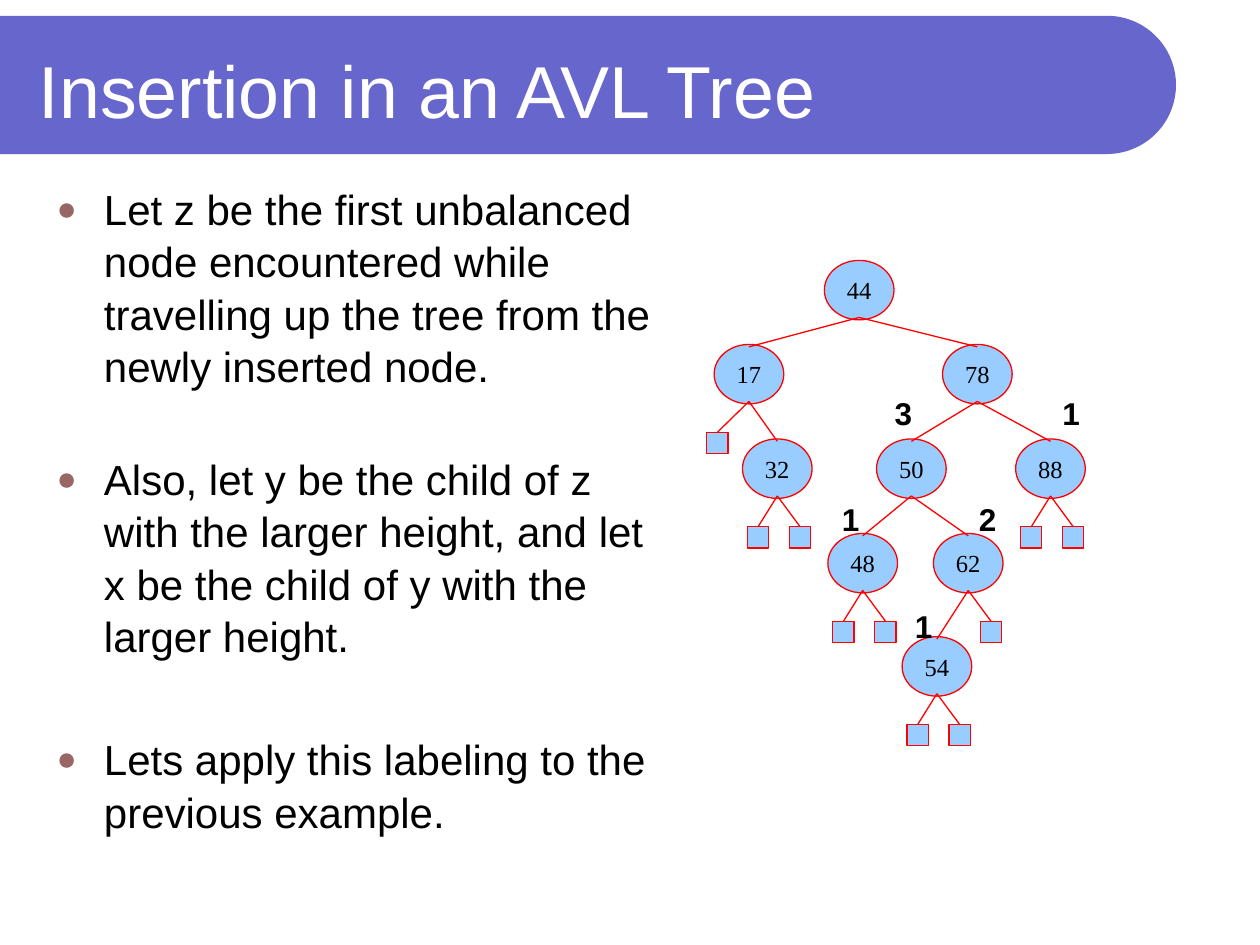
import math
from dataclasses import dataclass

from lxml import etree
from pptx import Presentation
from pptx.dml.color import RGBColor
from pptx.enum.shapes import MSO_CONNECTOR, MSO_SHAPE
from pptx.enum.text import MSO_ANCHOR, MSO_AUTO_SIZE, PP_ALIGN
from pptx.oxml.ns import qn
from pptx.util import Pt

OVAL, SQUARE, STRAIGHT = MSO_SHAPE.OVAL, MSO_SHAPE.RECTANGLE, MSO_CONNECTOR.STRAIGHT
TOP, MIDDLE = MSO_ANCHOR.TOP, MSO_ANCHOR.MIDDLE
LEFT, CENTER = PP_ALIGN.LEFT, PP_ALIGN.CENTER
NO_FIT = MSO_AUTO_SIZE.NONE


@dataclass(frozen=True)
class Theme:
    banner: str = "6666CC"
    bullet: str = "996666"
    node: str = "99CCFF"
    edge: str = "FF0000"
    ink: str = "000000"
    paper: str = "FFFFFF"
    sans: str = "Arial"
    serif: str = "Times New Roman"
    title_size: float = 42
    body_size: float = 24
    label_size: float = 18
    key_size: float = 14
    edge_width: float = 0.75


THEME = Theme()

TITLE = "Insertion in an AVL Tree"
POINTS = (
    ("Let z be the first unbalanced node encountered while travelling up "
     "the tree from the newly inserted node.", 0),
    ("Also, let y be the child of z with the larger height, and let x be "
     "the child of y with the larger height.", 34.7),
    ("Lets apply this labeling to the previous example.", 40.5),
)

NODE_WIDTH, NODE_HEIGHT, LEAF_SIDE = 39.8, 34, 12.2
LEAF_DROP, EDGE_START, EDGE_END = 50.2, 32.6, 1.4
LEAF_OFFSETS = (-11, 13)
NODES = {
    "44": (491, 148.8), "17": (428, 196.8), "78": (558.5, 196.8),
    "32": (444.2, 250.8), "50": (520.8, 250.8), "88": (600.3, 250.8),
    "48": (493, 304.8), "62": (553.3, 304.8), "54": (535.4, 363.8),
}
CHILDREN = (
    ("44", "17"), ("44", "78"), ("17", "32"), ("78", "50"), ("78", "88"),
    ("50", "48"), ("50", "62"), ("62", "54"),
)
LEAVES = {
    "17": (-18,), "32": LEAF_OFFSETS, "88": LEAF_OFFSETS,
    "48": LEAF_OFFSETS, "62": LEAF_OFFSETS[1:], "54": LEAF_OFFSETS,
}
HEIGHTS = (
    ("3", 504, 221.8), ("1", 599.8, 221.8), ("1", 473.8, 282.2),
    ("2", 552.2, 282.2), ("1", 515.5, 343.4),
)


def set_attributes(target, formats):
    for attribute, value in formats.items():
        setattr(target, attribute, value)


def place(target, left, top, width, height):
    set_attributes(target, {
        "left": Pt(left), "top": Pt(top), "width": Pt(width), "height": Pt(height),
    })


def write(paragraph, words, face, size, color, bold=False, align=LEFT):
    paragraph.alignment = align
    font = paragraph.add_run().font
    paragraph.runs[0].text = words
    set_attributes(font, {"name": face, "size": Pt(size), "bold": bold})
    font.color.rgb = RGBColor.from_string(color)


def add_banner(slide):
    top, height, straight = 9, 79, 632.5
    radius = height / 2
    angles = [math.radians(degree) for degree in range(-90, 91, 3)]
    arc = [(Pt(straight + radius * math.cos(angle)),
            Pt(top + radius + radius * math.sin(angle))) for angle in angles]
    outline = slide.shapes.build_freeform(Pt(0), Pt(top))
    outline.add_line_segments(arc + [(Pt(0), Pt(top + height))], close=True)
    banner = outline.convert_to_shape()
    banner.shadow.inherit = False
    banner.fill.solid()
    banner.fill.fore_color.rgb = RGBColor.from_string(THEME.banner)
    banner.line.fill.background()
    slide.shapes.element.insert(2, banner.element)


def fill_title(slide):
    title = slide.shapes.title
    place(title, 15, 15, 631.5, 72)
    set_attributes(title.text_frame, {
        "vertical_anchor": MIDDLE, "auto_size": NO_FIT, "word_wrap": True,
    })
    write(title.text_frame.paragraphs[0], TITLE, THEME.sans,
          THEME.title_size, THEME.paper)


def add_bullet(paragraph):
    properties = paragraph._p.get_or_add_pPr()
    properties.set("marL", str(Pt(27)))
    properties.set("indent", str(Pt(-27)))
    color = etree.SubElement(properties, qn("a:buClr"))
    etree.SubElement(color, qn("a:srgbClr"), val=THEME.bullet)
    etree.SubElement(properties, qn("a:buSzPct"), val="80000")
    etree.SubElement(properties, qn("a:buFont"), typeface=THEME.sans)
    etree.SubElement(properties, qn("a:buChar"), char="●")


def fill_body(slide):
    body = slide.placeholders[1]
    place(body, 25.2, 100, 364.3, 414)
    frame = body.text_frame
    set_attributes(frame, {
        "vertical_anchor": TOP, "auto_size": NO_FIT, "word_wrap": True,
    })
    for index, (words, gap) in enumerate(POINTS):
        point = frame.add_paragraph() if index else frame.paragraphs[0]
        add_bullet(point)
        set_attributes(point, {
            "space_before": Pt(gap), "space_after": Pt(0), "line_spacing": 1.04,
        })
        write(point, words, THEME.sans, THEME.body_size, THEME.ink)


def add_tree_shape(slide, preset, center, top, width, height):
    part = slide.shapes.add_shape(
        preset, Pt(center - width / 2), Pt(top), Pt(width), Pt(height))
    part.shadow.inherit = False
    part.fill.solid()
    part.fill.fore_color.rgb = RGBColor.from_string(THEME.node)
    part.line.color.rgb = RGBColor.from_string(THEME.edge)
    part.line.width = Pt(THEME.edge_width)
    return part


def add_node(slide, key, center, top):
    node = add_tree_shape(slide, OVAL, center, top, NODE_WIDTH, NODE_HEIGHT)
    set_attributes(node.text_frame, {"vertical_anchor": MIDDLE, "word_wrap": False})
    write(node.text_frame.paragraphs[0], key, THEME.serif, THEME.key_size,
          THEME.ink, align=CENTER)


def add_edge(slide, parent, end_x, end_y):
    start_x, parent_top = NODES[parent]
    edge = slide.shapes.add_connector(
        STRAIGHT, Pt(start_x), Pt(parent_top + EDGE_START), Pt(end_x), Pt(end_y))
    edge.line.color.rgb = RGBColor.from_string(THEME.edge)
    edge.line.width = Pt(THEME.edge_width)
    etree.SubElement(edge.element.spPr, qn("a:effectLst"))


def add_height(slide, height, left, top):
    label = slide.shapes.add_textbox(Pt(left), Pt(top), Pt(24.5), Pt(28.8))
    label.text_frame.word_wrap = False
    write(label.text_frame.paragraphs[0], height, THEME.sans, THEME.label_size,
          THEME.ink, bold=True, align=CENTER)


def add_tree(slide):
    for key, (center, top) in NODES.items():
        add_node(slide, key, center, top)
    for parent, child in CHILDREN:
        center, top = NODES[child]
        add_edge(slide, parent, center, top + EDGE_END)
    for parent, offsets in LEAVES.items():
        center, top = NODES[parent]
        for offset in offsets:
            leaf_center, leaf_top = center + offset, top + LEAF_DROP
            add_tree_shape(slide, SQUARE, leaf_center, leaf_top, LEAF_SIDE, LEAF_SIDE)
            add_edge(slide, parent, leaf_center, leaf_top)
    for height, left, top in HEIGHTS:
        add_height(slide, height, left, top)


def main():
    deck = Presentation()
    set_attributes(deck, {"slide_width": Pt(720), "slide_height": Pt(540)})
    slide = deck.slides.add_slide(deck.slide_layouts[1])
    add_banner(slide)
    fill_title(slide)
    fill_body(slide)
    add_tree(slide)
    deck.save("out.pptx")


if __name__ == "__main__":
    main()
